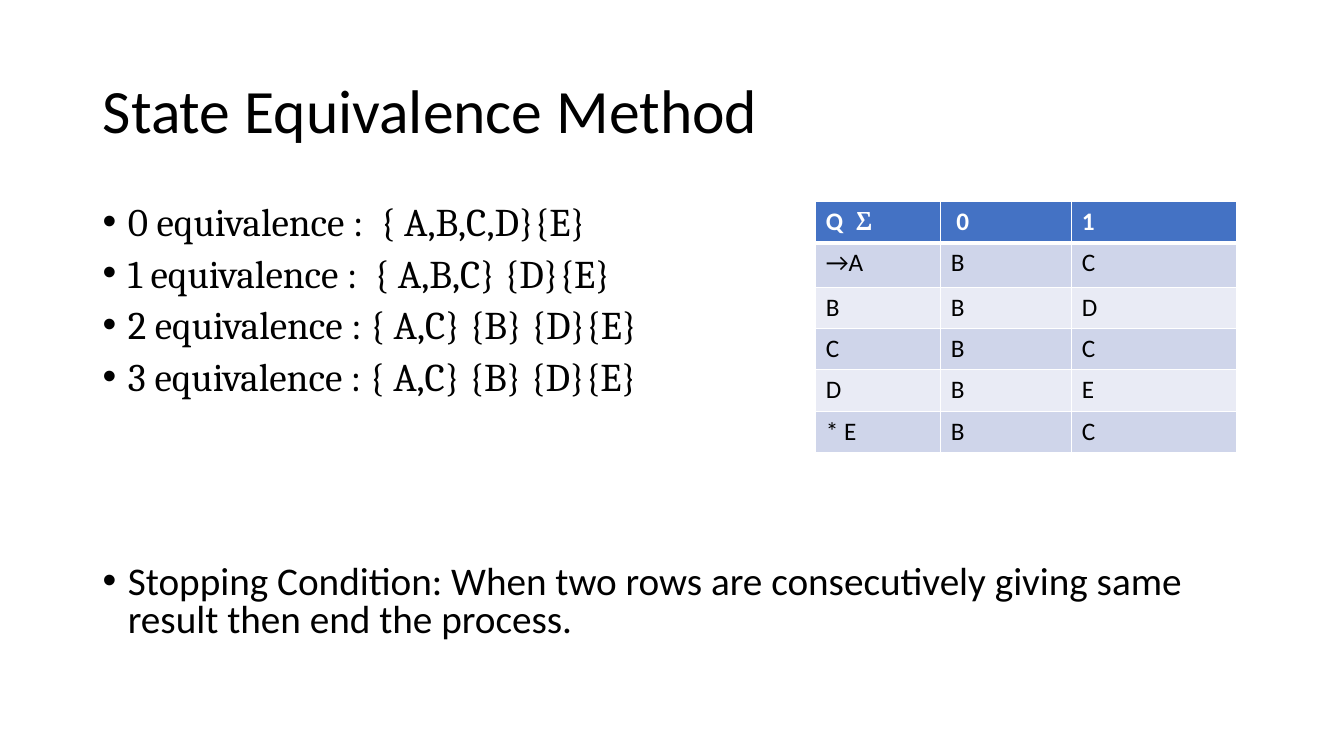
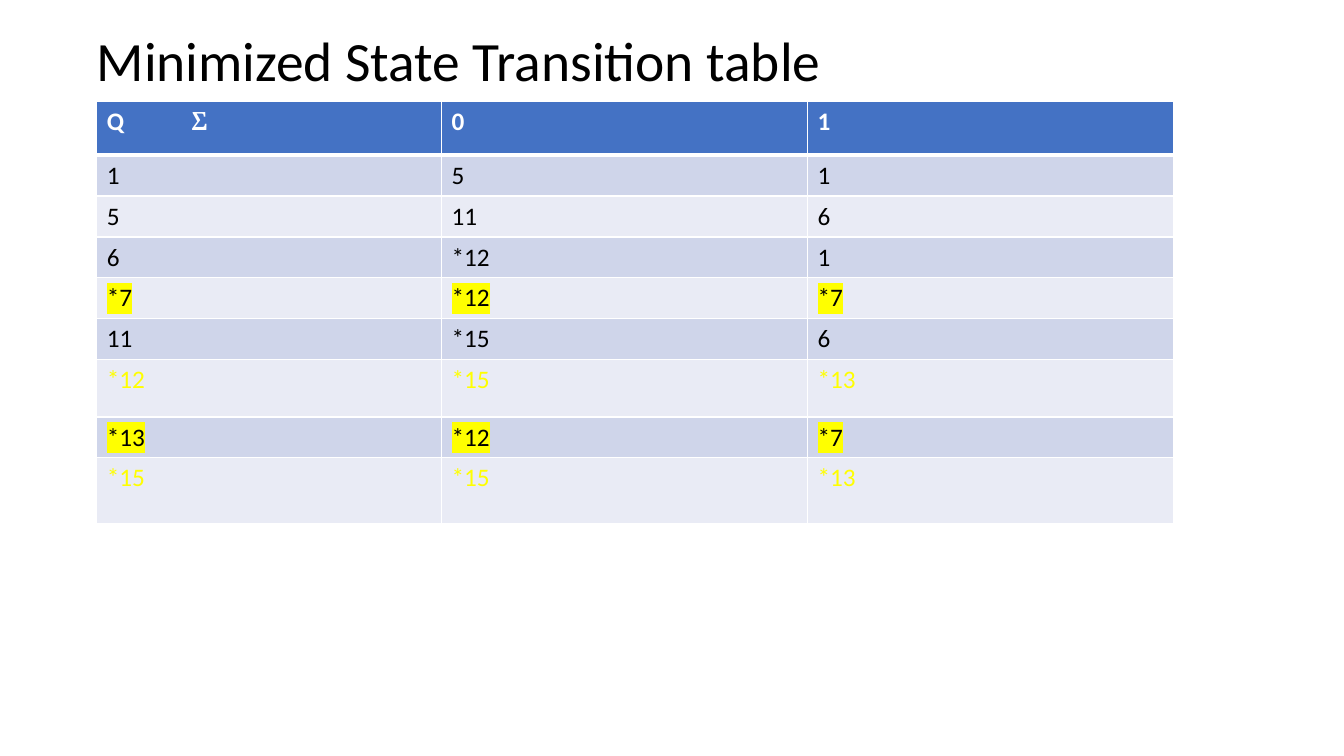
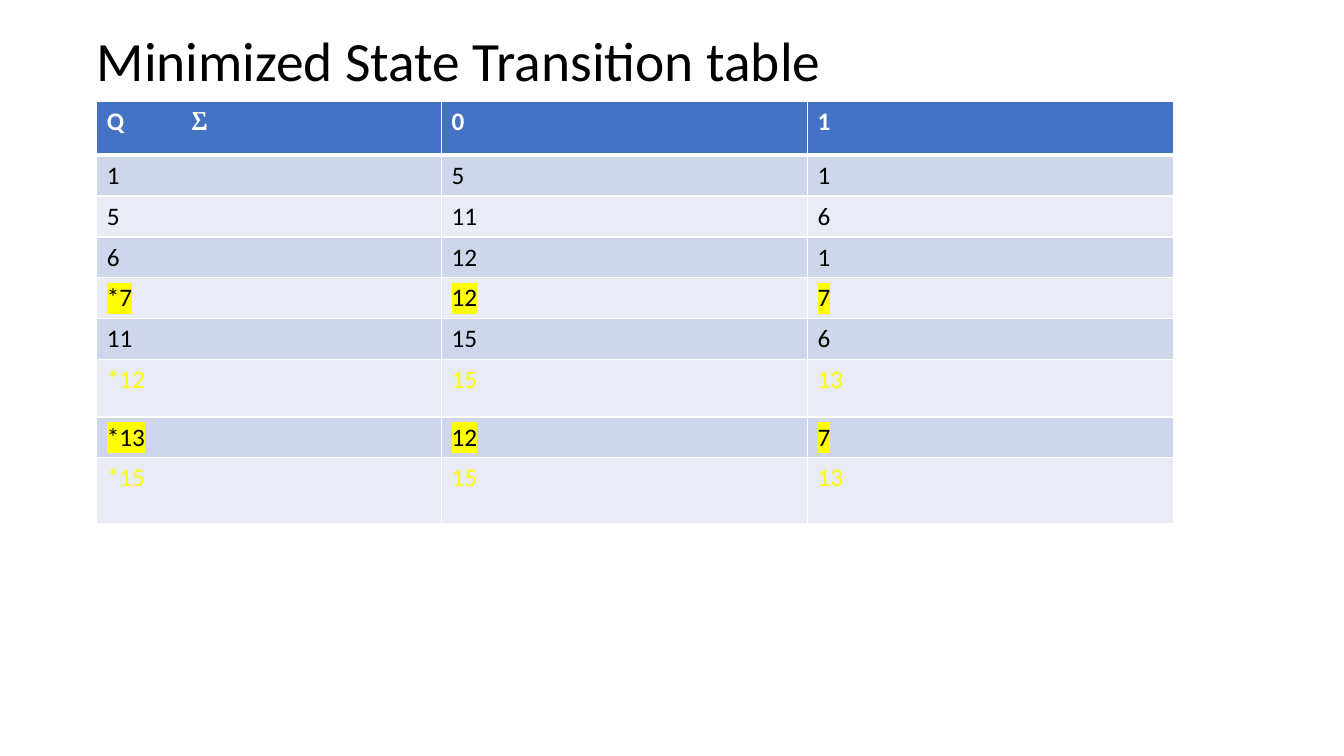
import pptx
import pptx.util
import pptx.dml.color
import pptx.enum.text
import pptx.oxml.ns
import lxml.etree

Inches, Pt = pptx.util.Inches, pptx.util.Pt

# Shared look
BLACK, WHITE, YELLOW, BLUE = "000000", "FFFFFF", "FFFF00", "4472C4"
BANDS = ("CFD5EA", "E9EBF5")
BODY_FONT, MATH_FONT = "Calibri", "Cambria"
TITLE_ONLY = 5

# Row styles: text colour and highlight
PLAIN, MARKED, FADED = (BLACK, None), (BLACK, YELLOW), (YELLOW, None)

# Content
EQUIVALENCES = [
    "0 equivalence :  { A,B,C,D}{E}",
    "1 equivalence :  { A,B,C} {D}{E}",
    "2 equivalence : { A,C} {B} {D}{E}",
    "3 equivalence : { A,C} {B} {D}{E}",
]
STOPPING = ("Stopping Condition: When two rows are consecutively giving same "
            "result then end the process.")
SMALL_TABLE = {
    "left": 8.09, "top": 2, "columns": [1.24, 1.3, 1.63],
    "heights": [0.41, 0.44] + [0.41] * 4, "tab": 0.3,
    "head": ["Q\tΣ", " 0", "1"],
    "styles": [PLAIN] * 5,
    "body": [["→A", "B", "C"], ["B", "B", "D"], ["C", "B", "C"],
             ["D", "B", "E"], ["* E", "B", "C"]],
}
MINIMIZED = {
    "left": 0.96, "top": 1.01, "columns": [3.42, 3.63, 3.63],
    "heights": [0.53] + [0.37] * 5 + [0.57, 0.37, 0.65], "tab": 0.84,
    "head": ["Q\tΣ", "0", "1"],
    "styles": [PLAIN] * 3 + [MARKED, PLAIN, FADED, MARKED, FADED],
}
STARRED_ROWS = [
    ["1", "5", "1"], ["5", "11", "6"], ["6", "*12", "1"],
    ["*7", "*12", "*7"], ["11", "*15", "6"], ["*12", "*15", "*13"],
    ["*13", "*12", "*7"], ["*15", "*15", "*13"],
]
# Final states keep their star only in the first column
UNSTARRED_ROWS = [[state] + [target.strip("*") for target in targets]
                  for state, *targets in STARRED_ROWS]
MINIMIZED_TITLE = "Minimized State Transition table"


def rgb(value):
    return pptx.dml.color.RGBColor.from_string(value)


def add_xml(parent, tag, **values):
    child = lxml.etree.SubElement(parent, pptx.oxml.ns.qn(tag))
    for name, value in values.items():
        child.set(name, str(value))
    return child


def add_span(para, text, size, color=BLACK, font=BODY_FONT, bold=False,
             highlight=None):
    span = para.add_run()
    span.text = text
    span.font.color.rgb = rgb(color)
    if highlight:
        add_xml(add_xml(span.font._element, "a:highlight"), "a:srgbClr",
                val=highlight)
    for name, value in {"size": Pt(size), "bold": bold, "name": font}.items():
        setattr(span.font, name, value)


def add_page(deck, title, left, top, width, height, size):
    page = deck.slides.add_slide(deck.slide_layouts[TITLE_ONLY])
    box = page.shapes.title
    place = {"left": left, "top": top, "width": width, "height": height}
    for name, value in place.items():
        setattr(box, name, Inches(value))
    frame_format = {
        "word_wrap": True,
        "auto_size": pptx.enum.text.MSO_AUTO_SIZE.NONE,
        "vertical_anchor": pptx.enum.text.MSO_ANCHOR.MIDDLE,
    }
    for name, value in frame_format.items():
        setattr(box.text_frame, name, value)
    para = box.text_frame.paragraphs[0]
    para.alignment = pptx.enum.text.PP_ALIGN.LEFT
    para.line_spacing = 0.9
    add_span(para, title, size)
    return page


def add_bullets(page, items, left, top, width, height):
    """Each item is text, font and space before in points."""
    box = page.shapes.add_textbox(*map(Inches, (left, top, width, height)))
    frame = box.text_frame
    frame.word_wrap = True
    for index, (text, font, gap) in enumerate(items):
        para = frame.add_paragraph() if index else frame.paragraphs[0]
        para.line_spacing = 0.8
        para.space_before = Pt(gap)
        props = para._p.get_or_add_pPr()
        props.set("marL", str(Inches(0.25)))
        props.set("indent", str(Inches(-0.25)))
        add_xml(props, "a:buFont", typeface="Arial")
        add_xml(props, "a:buChar", char="•")
        add_span(para, text, 28, font=font)


def format_cell(cell, fill, top=1, bottom=1):
    props = cell._tc.get_or_add_tcPr()
    for side, width in (("L", 1), ("R", 1), ("T", top), ("B", bottom)):
        line = add_xml(props, "a:ln" + side, w=Pt(width))
        add_xml(add_xml(line, "a:solidFill"), "a:srgbClr", val=WHITE)
    cell.fill.solid()
    cell.fill.fore_color.rgb = rgb(fill)


def add_state_table(page, layout, body):
    columns, heights = layout["columns"], layout["heights"]
    table = page.shapes.add_table(
        len(heights), len(columns), Inches(layout["left"]),
        Inches(layout["top"]), Inches(sum(columns)), Inches(sum(heights))).table
    for column, width in zip(table.columns, columns):
        column.width = Inches(width)
    for row, height in zip(table.rows, heights):
        row.height = Inches(height)

    # Header row
    for cell, text in zip(table.rows[0].cells, layout["head"]):
        format_cell(cell, BLUE, bottom=3)
        para = cell.text_frame.paragraphs[0]
        label, tab, symbol = text.partition("\t")
        add_span(para, label + tab, 18, WHITE, bold=True)
        if symbol:
            stops = add_xml(para._p.get_or_add_pPr(), "a:tabLst")
            add_xml(stops, "a:tab", pos=Inches(layout["tab"]), algn="l")
            add_span(para, symbol, 18, WHITE, MATH_FONT, bold=True)

    # State rows
    for index, (texts, style) in enumerate(zip(body, layout["styles"])):
        color, highlight = style
        for cell, text in zip(table.rows[index + 1].cells, texts):
            format_cell(cell, BANDS[index % 2], top=1 if index else 3)
            add_span(cell.text_frame.paragraphs[0], text, 18, color,
                     highlight=highlight)


def main():
    deck = pptx.Presentation()
    deck.slide_width, deck.slide_height = Inches(13.33), Inches(7.5)

    # State equivalence
    page = add_page(deck, "State Equivalence Method", 0.92, 0.4, 11.5, 1.45, 44)
    bullets = [(text, MATH_FONT, 10) for text in EQUIVALENCES]
    bullets.append((STOPPING, BODY_FONT, 119))
    add_bullets(page, bullets, 0.92, 2, 11.5, 4.76)
    add_state_table(page, SMALL_TABLE, SMALL_TABLE["body"])

    # Minimized tables
    for body in (STARRED_ROWS, UNSTARRED_ROWS):
        page = add_page(deck, MINIMIZED_TITLE, 0.86, 0.4, 11.56, 0.47, 39.6)
        add_state_table(page, MINIMIZED, body)

    deck.save("out.pptx")


if __name__ == "__main__":
    main()
